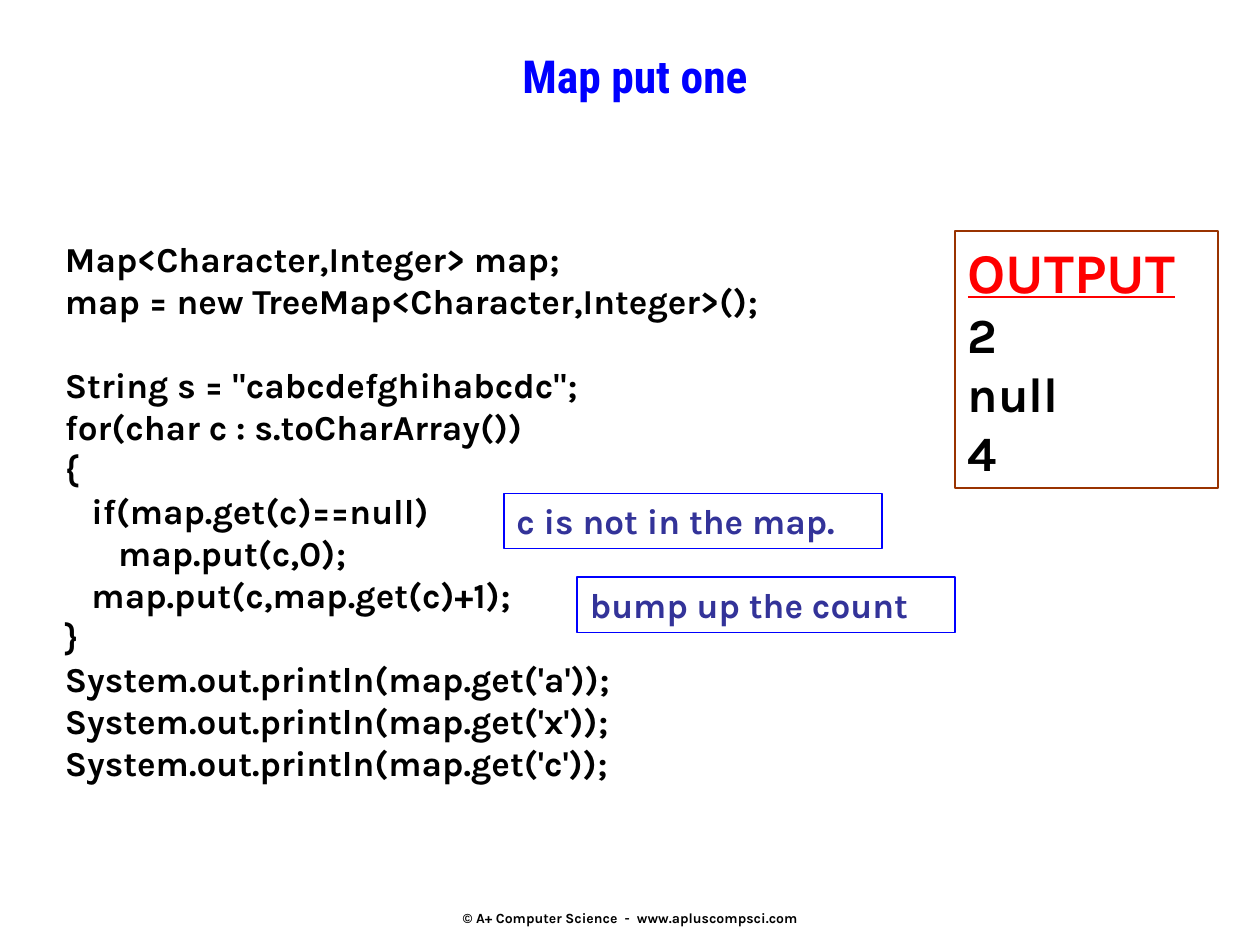
from pptx import Presentation
from pptx.dml.color import RGBColor
from pptx.enum.shapes import MSO_SHAPE
from pptx.enum.text import MSO_ANCHOR, PP_ALIGN
from pptx.util import Cm, Pt

THEME = {
    "body_font": "Karla", "title_font": "Roboto Condensed",
    "black": "000000", "blue": "0000FF", "indigo": "333399",
    "red": "FF0000", "brown": "993300",
    "title": 26, "code": 20, "heading": 32, "result": 28, "footer": 8,
    "code_line": 24, "border": 1,
}

TITLE = "Map put one"
FOOTER = "© A+ Computer Science  -  www.apluscompsci.com"
CODE_BLOCKS = [
    ["Map<Character,Integer> map;",
     "map = new TreeMap<Character,Integer>();"],
    ['String s = "cabcdefghihabcdc";',
     "for(char c : s.toCharArray())",
     "{",
     "   if(map.get(c)==null)",
     "      map.put(c,0);",
     "   map.put(c,map.get(c)+1);",
     "}",
     "System.out.println(map.get('a'));",
     "System.out.println(map.get('x'));",
     "System.out.println(map.get('c'));"],
]
OUTPUT_HEADING = "OUTPUT"
OUTPUT_RESULTS = ["2", "null", "4"]

# left, top, width, height in cm
TITLE_BOX = (1.69, 0.85, 22.23, 2.33)
CODE_BOX = (1.06, 4.66, 23.28, 11.28)
OUTPUT_BOX = (19.26, 4.66, 5.29, 5.18)
FOOTER_BOX = (8.69, 17.53, 8.04, 1.27)
NOTE_SIZE = (7.62, 1.11)
NOTES = [
    ("c is not in the map.", (10.16, 9.95)),
    ("bump up the count", (11.64, 11.64)),
]


def style(r, size, color="black", font="body_font"):
    r.font.name = THEME[font]
    r.font.size = Pt(THEME[size])
    r.font.bold = True
    r.font.color.rgb = RGBColor.from_string(THEME[color])


def add_text(slide, box):
    tf = slide.shapes.add_textbox(*map(Cm, box)).text_frame
    tf.word_wrap = True
    return tf


def add_line(slide, box, text, size, color="black", font="body_font"):
    """Add one centred line of text and return its frame."""
    tf = add_text(slide, box)
    p = tf.paragraphs[0]
    p.text = text
    p.alignment = PP_ALIGN.CENTER
    style(p.runs[0], size, color, font)
    return tf


def add_frame(slide, box, border):
    """Add an unfilled bordered rectangle and return its first paragraph."""
    sp = slide.shapes.add_shape(MSO_SHAPE.RECTANGLE, *map(Cm, box))
    sp.shadow.inherit = False
    sp.fill.background()
    sp.line.color.rgb = RGBColor.from_string(THEME[border])
    sp.line.width = Pt(THEME["border"])
    tf = sp.text_frame
    tf.word_wrap = True
    tf.vertical_anchor = MSO_ANCHOR.TOP
    p = tf.paragraphs[0]
    p.alignment = PP_ALIGN.LEFT
    return p


def add_code(slide):
    tf = add_text(slide, CODE_BOX)
    tf.text = "\n".join(line for block in CODE_BLOCKS for line in block)
    for p in tf.paragraphs:
        style(p.runs[0], "code")
    start = 0
    for block in CODE_BLOCKS[:-1]:
        start += len(block)
        tf.paragraphs[start].space_before = Pt(THEME["code_line"])


def add_output(slide):
    p = add_frame(slide, OUTPUT_BOX, "brown")
    r = p.add_run()
    r.text = OUTPUT_HEADING
    style(r, "heading", "red")
    r.font.underline = True
    for result in OUTPUT_RESULTS:
        p.add_line_break()
        r = p.add_run()
        r.text = result
        style(r, "result")


def main():
    prs = Presentation()
    prs.slide_width, prs.slide_height = Cm(25.4), Cm(19.05)
    slide = prs.slides.add_slide(prs.slide_layouts[6])

    footer = add_line(slide, FOOTER_BOX, FOOTER, "footer")
    footer.vertical_anchor = MSO_ANCHOR.BOTTOM
    add_code(slide)
    add_line(slide, TITLE_BOX, TITLE, "title", "blue", "title_font")
    add_output(slide)
    for text, position in NOTES:
        p = add_frame(slide, position + NOTE_SIZE, "blue")
        p.text = text
        style(p.runs[0], "code", "indigo")

    prs.save("out.pptx")


if __name__ == "__main__":
    main()
